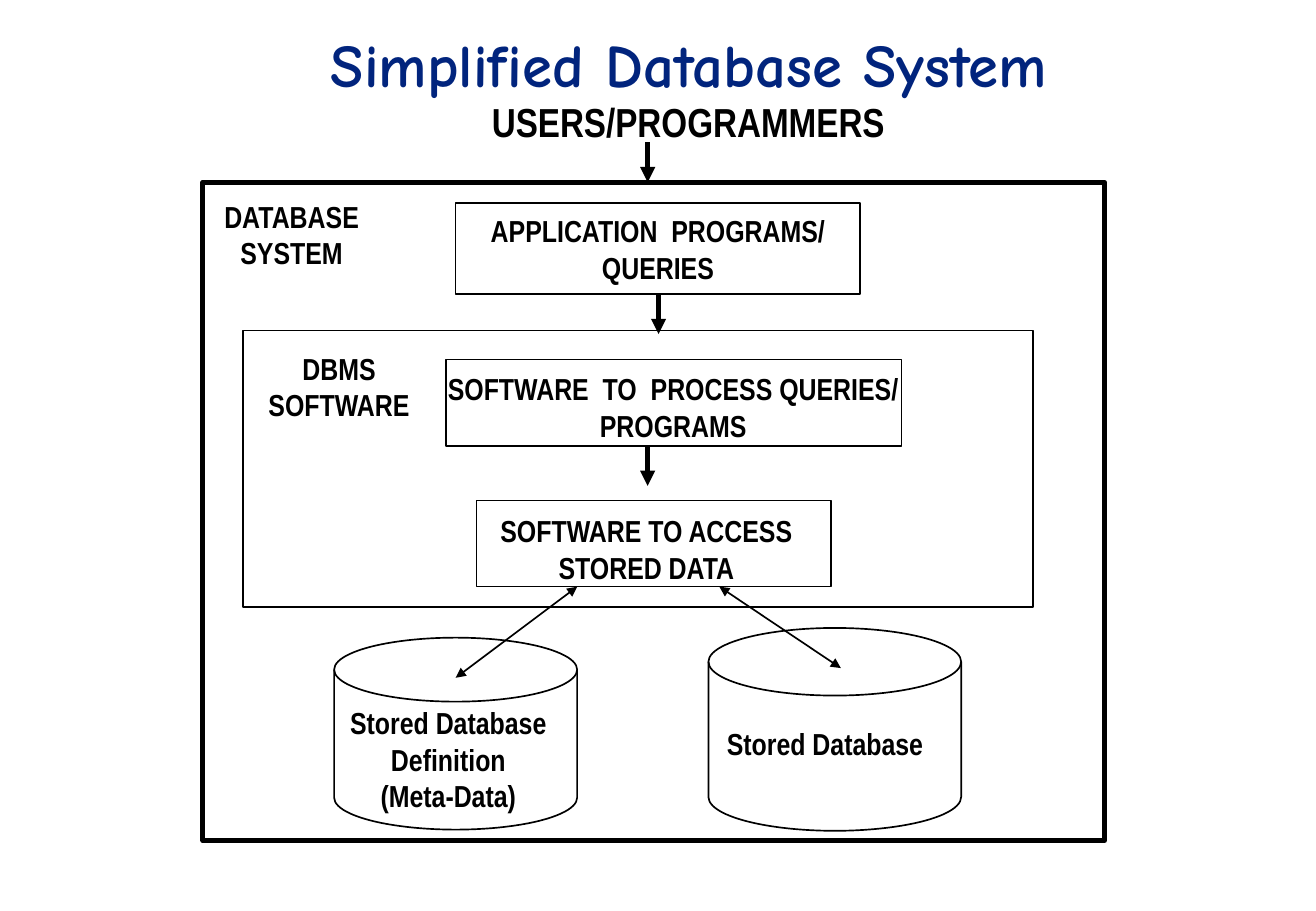
from lxml import etree
from pptx import Presentation
from pptx.dml.color import RGBColor
from pptx.enum.shapes import MSO_CONNECTOR, MSO_SHAPE
from pptx.enum.text import MSO_ANCHOR, PP_ALIGN
from pptx.oxml.ns import qn
from pptx.util import Inches, Pt

RECTANGLE = MSO_SHAPE.RECTANGLE
DISK = MSO_SHAPE.FLOWCHART_MAGNETIC_DISK
STRAIGHT = MSO_CONNECTOR.STRAIGHT
CENTER = PP_ALIGN.CENTER
TOP = MSO_ANCHOR.TOP
NAVY = RGBColor(0x01, 0x24, 0x7D)
BLACK = RGBColor(0, 0, 0)
THICK, THIN = 3, 1

TITLE = "Simplified Database System"
TITLE_PLACE = (1.42, 0.17, 8.5, 0.5)

OUTLINES = [
    (RECTANGLE, (1.67, 1.5, 7.42, 5.42), THICK),
    (RECTANGLE, (2, 2.72, 6.5, 2.28), THIN),
    (RECTANGLE, (3.75, 1.67, 3.33, 0.75), THIN),
    (RECTANGLE, (3.67, 2.96, 3.75, 0.71), THIN),
    (RECTANGLE, (3.92, 4.12, 2.92, 0.71), THIN),
    (DISK, (2.75, 5.25, 2, 1.58), THIN),
    (DISK, (5.83, 5.17, 2.08, 1.67), THIN),
]

FLOWS = [(5.33, 1.17), (5.42, 2.42), (5.33, 3.67)]
FLOW_LENGTH = 0.33
EXCHANGES = [(4.75, 4.83, 3.75, 5.58), (5.92, 4.83, 6.92, 5.5)]

LABELS = [
    ("USERS/PROGRAMMERS", (3.85, 0.75, 3.63, 0.5), 24),
    ("DATABASE\nSYSTEM", (1.73, 1.58, 1.34, 0.7), 18),
    ("APPLICATION  PROGRAMS/\nQUERIES", (3.93, 1.7, 2.97, 0.7), 18),
    ("DBMS\nSOFTWARE", (2, 2.83, 1.58, 0.7), 18),
    ("SOFTWARE  TO  PROCESS QUERIES/ PROGRAMS", (3.5, 3, 4.08, 0.7), 18),
    ("SOFTWARE TO ACCESS\nSTORED DATA", (3.98, 4.17, 2.68, 0.7), 18),
    ("Stored Database\nDefinition\n(Meta-Data)", (2.75, 5.75, 1.88, 1), 18),
    ("Stored Database", (5.83, 5.92, 1.92, 0.4), 18),
]


def inches(values):
    return [Inches(value) for value in values]


def write(frame, text, size=18, font="Arial Narrow", color=BLACK):
    frame.word_wrap = True
    frame.vertical_anchor = TOP
    frame.margin_left = frame.margin_right = Inches(0.05)
    frame.margin_top = frame.margin_bottom = Inches(0.05)
    frame.text = text
    for paragraph in frame.paragraphs:
        paragraph.alignment = CENTER
        for run in paragraph.runs:
            run.font.name = font
            run.font.size = Pt(size)
            run.font.bold = True
            run.font.color.rgb = color


def add_outline(shapes, kind, place, weight):
    outline = shapes.add_shape(kind, *inches(place))
    outline.shadow.inherit = False
    outline.fill.background()
    outline.line.color.rgb = BLACK
    outline.line.width = Pt(weight)


def add_arrow(shapes, ends, weight, heads):
    arrow = shapes.add_connector(STRAIGHT, *inches(ends))
    arrow.line.color.rgb = BLACK
    arrow.line.width = Pt(weight)
    properties = arrow.line._get_or_add_ln()
    for head in heads:
        etree.SubElement(properties, qn(head), type="triangle")
    etree.SubElement(arrow._element.spPr, qn("a:effectLst"))


def main():
    deck = Presentation()
    deck.slide_width, deck.slide_height = inches((10.83, 7.5))
    slide = deck.slides.add_slide(deck.slide_layouts[5])
    shapes = slide.shapes

    title = shapes.title
    title.left, title.top, title.width, title.height = inches(TITLE_PLACE)
    write(title.text_frame, TITLE, size=36, font="Comic Neue", color=NAVY)

    for kind, place, weight in OUTLINES:
        add_outline(shapes, kind, place, weight)
    for x, y in FLOWS:
        add_arrow(shapes, (x, y, x, y + FLOW_LENGTH), THICK, ["a:tailEnd"])
    for ends in EXCHANGES:
        add_arrow(shapes, ends, THIN, ["a:headEnd", "a:tailEnd"])
    for text, place, size in LABELS:
        write(shapes.add_textbox(*inches(place)).text_frame, text, size=size)

    deck.save("out.pptx")


if __name__ == "__main__":
    main()
